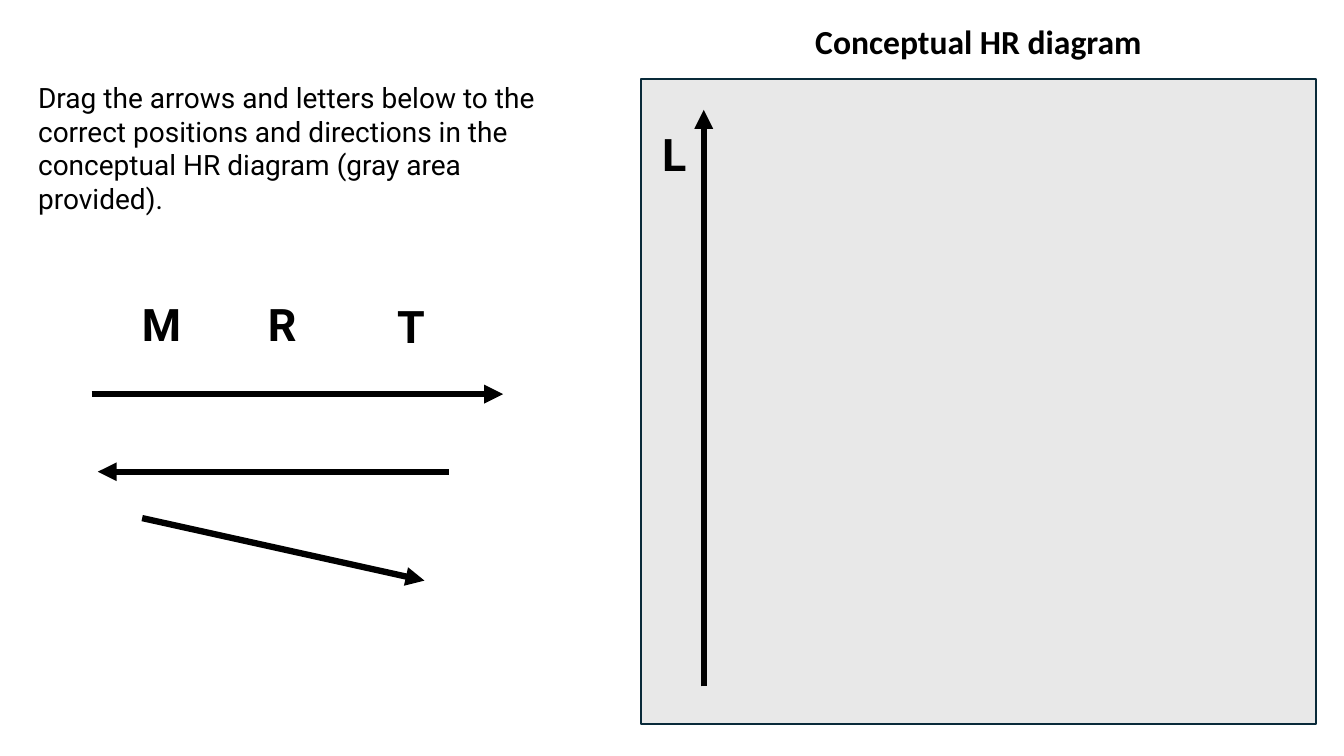
import pptx
import pptx.dml.color
import pptx.enum.shapes
import pptx.enum.text
import pptx.oxml.ns
import pptx.util
from lxml import etree
from pptx.dml.color import RGBColor
from pptx.util import Inches

BLACK = RGBColor(0x00, 0x00, 0x00)
DIAGRAM_GRAY = RGBColor(0xE8, 0xE8, 0xE8)
DIAGRAM_EDGE = RGBColor(0x09, 0x2A, 0x39)

TITLE_FONT = {"name": "Calibri", "size": pptx.util.Pt(24), "bold": True}
TASK_FONT = {"name": "Roboto", "size": pptx.util.Pt(20), "bold": False}
LETTER_FONT = {"name": "Roboto", "size": pptx.util.Pt(32), "bold": True}

TASK = ("Drag the arrows and letters below to the correct positions and "
        "directions in the conceptual HR diagram (gray area provided).")
LETTERS = [("L", 6.47, 1.21), ("M", 1.31, 2.89), ("R", 2.56, 2.89), ("T", 3.84, 2.91)]
ARROWS = [
    ((6.98, 6.81), (6.98, 1.09)),
    ((0.91, 3.91), (4.99, 3.91)),
    ((4.45, 4.68), (0.97, 4.68)),
    ((1.41, 5.14), (4.21, 5.76)),
]


def write(holder, words, font_format, alignment=pptx.enum.text.PP_ALIGN.LEFT):
    """Fill a text box or placeholder with one formatted paragraph."""
    frame = holder.text_frame
    frame.word_wrap = True
    frame.auto_size = pptx.enum.text.MSO_AUTO_SIZE.SHAPE_TO_FIT_TEXT
    frame.vertical_anchor = pptx.enum.text.MSO_ANCHOR.TOP
    paragraph = frame.paragraphs[0]
    paragraph.alignment = alignment
    run = paragraph.add_run()
    run.text = words
    for attribute, value in font_format.items():
        setattr(run.font, attribute, value)
    run.font.color.rgb = BLACK


def place_title(slide, words, left, top, width, height):
    title = slide.shapes.title
    position = {"left": left, "top": top, "width": width, "height": height}
    for attribute, value in position.items():
        setattr(title, attribute, Inches(value))
    write(title, words, TITLE_FONT, pptx.enum.text.PP_ALIGN.CENTER)


def add_words(slide, words, font_format, left, top, width, height):
    box = slide.shapes.add_textbox(*map(Inches, (left, top, width, height)))
    write(box, words, font_format)


def add_diagram_area(slide, left, top, width, height):
    area = slide.shapes.add_shape(
        pptx.enum.shapes.MSO_SHAPE.RECTANGLE, *map(Inches, (left, top, width, height)))
    area.shadow.inherit = False
    area.fill.solid()
    area.fill.fore_color.rgb = DIAGRAM_GRAY
    area.line.color.rgb = DIAGRAM_EDGE
    area.line.width = pptx.util.Pt(1.5)


def add_arrow(slide, start, end):
    arrow = slide.shapes.add_connector(
        pptx.enum.shapes.MSO_CONNECTOR.STRAIGHT, *map(Inches, start + end))
    arrow.line.color.rgb = BLACK
    arrow.line.width = pptx.util.Pt(4.5)
    qn = pptx.oxml.ns.qn
    properties = arrow.element.spPr
    etree.SubElement(properties.find(qn("a:ln")), qn("a:tailEnd"), type="triangle")
    etree.SubElement(properties, qn("a:effectLst"))


def main():
    deck = pptx.Presentation()
    deck.slide_width, deck.slide_height = Inches(13.33), Inches(7.5)
    slide = deck.slides.add_slide(deck.slide_layouts.get_by_name("Title Only"))

    add_diagram_area(slide, 6.36, 0.78, 6.69, 6.4)
    place_title(slide, "Conceptual HR diagram", 6.65, 0.16, 6.11, 0.5)
    add_words(slide, TASK, TASK_FONT, 0.28, 0.75, 5.34, 1.45)
    for start, end in ARROWS:
        add_arrow(slide, start, end)
    for letter, left, top in LETTERS:
        add_words(slide, letter, LETTER_FONT, left, top, 0.74, 0.64)

    deck.save("out.pptx")


if __name__ == "__main__":
    main()
